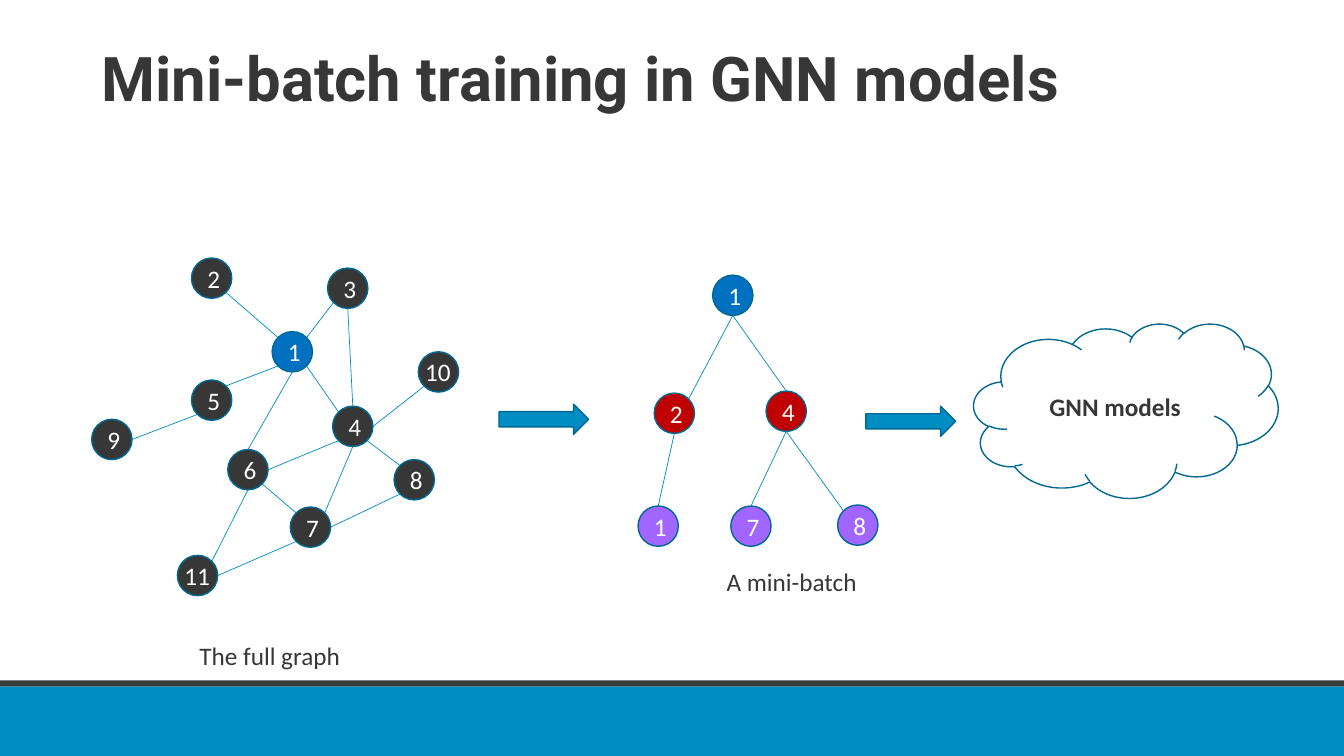
from enum import Enum
from math import sqrt
from typing import NamedTuple, Optional

from lxml.etree import SubElement
from pptx import Presentation
from pptx.dml.color import RGBColor
from pptx.enum.shapes import MSO_CONNECTOR as Connector, MSO_SHAPE as Preset
from pptx.enum.text import MSO_ANCHOR as Anchor, MSO_AUTO_SIZE as AutoSize, PP_ALIGN as Align
from pptx.oxml.ns import qn
from pptx.shapes.autoshape import Shape
from pptx.util import Inches, Length, Pt

WHITE = RGBColor(0xFF, 0xFF, 0xFF)
CHARCOAL = RGBColor(0x37, 0x37, 0x37)
STRIPE = RGBColor(0x38, 0x3D, 0x3B)
AZURE = RGBColor(0x00, 0x8D, 0xC4)
OUTLINE = RGBColor(0x00, 0x68, 0x91)
ROOT = RGBColor(0x00, 0x70, 0xC0)
HOP_ONE = RGBColor(0xC0, 0x00, 0x00)
HOP_TWO = RGBColor(0xA1, 0x66, 0xFF)

# The grid has ten columns and ten rows to the inch.
COLUMNS, ROWS = 133.33, 75
DIAMETER = 4
LABEL = {"name": "Calibri", "size": Pt(18)}
NODE_LABEL = LABEL | {"color": WHITE}
CAPTION = LABEL | {"color": CHARCOAL}
CLOUD_LABEL = CAPTION | {"bold": True}
TITLE = {"name": "Roboto", "size": Pt(44), "bold": True, "color": CHARCOAL}


class Area(NamedTuple):
    column: float
    row: float
    columns: float
    rows: float


class Node(NamedTuple):
    number: int
    column: float
    row: float
    fill: RGBColor = CHARCOAL


class Side(Enum):
    """Unit direction from the middle of a node to a point on its rim."""
    N = (0, -1)
    S = (0, 1)
    E = (1, 0)
    NE = (1 / sqrt(2), -1 / sqrt(2))
    NW = (-1 / sqrt(2), -1 / sqrt(2))
    SE = (1 / sqrt(2), 1 / sqrt(2))
    SW = (-1 / sqrt(2), 1 / sqrt(2))


class Edge(NamedTuple):
    start: str
    start_side: Side
    end: str
    end_side: Side


N, S, E, NE, NW, SE, SW = Side

FULL_GRAPH = {
    "1": Node(1, 27, 32.9, ROOT),
    "2": Node(2, 19, 25.6),
    "6": Node(6, 22.6, 44.6),
    "10": Node(10, 41.5, 34.9),
    "7": Node(7, 28.8, 50.3),
    "5": Node(5, 19, 37.7),
    "3": Node(3, 32.5, 26.6),
    "4": Node(4, 33, 40.3),
    "9": Node(9, 9.1, 41.6),
    "8": Node(8, 39.1, 45.6),
    "11": Node(11, 17.6, 55.1),
}
FULL_EDGES = [
    Edge("3", SW, "1", NE), Edge("2", SE, "1", NW), Edge("1", SW, "5", NE),
    Edge("1", SE, "4", NW), Edge("6", E, "4", SW), Edge("3", S, "4", N),
    Edge("9", E, "5", SW), Edge("6", SE, "7", NW), Edge("8", SW, "7", E),
    Edge("4", SE, "8", NW), Edge("1", S, "6", N), Edge("4", S, "7", NE),
    Edge("4", E, "10", SW), Edge("11", NE, "6", S), Edge("11", E, "7", SW),
]
MINI_BATCH = {
    "root": Node(1, 70.7, 27.3, ROOT),
    "left": Node(2, 64.9, 39, HOP_ONE),
    "right": Node(4, 76, 38.8, HOP_ONE),
    "leaf 7": Node(7, 72.5, 50.2, HOP_TWO),
    "leaf 8": Node(8, 83.1, 50.1, HOP_TWO),
    "leaf 1": Node(1, 63.3, 50.2, HOP_TWO),
}
MINI_EDGES = [
    Edge("left", NE, "root", S), Edge("root", S, "right", N),
    Edge("right", S, "leaf 8", NW), Edge("right", S, "leaf 7", N),
    Edge("left", S, "leaf 1", N),
]


def cells(count: float) -> Length:
    return Inches(count / 10)


def write(shape: Shape, text: str, style: dict) -> None:
    paragraph = shape.text_frame.paragraphs[0]
    run = paragraph.add_run()
    run.text = text
    for attribute, value in style.items():
        if attribute == "color":
            run.font.color.rgb = value
        else:
            setattr(run.font, attribute, value)


def add_preset(shapes, preset: Preset, area: Area, fill: Optional[RGBColor],
               outline: Optional[RGBColor] = OUTLINE) -> Shape:
    shape = shapes.add_shape(preset, *map(cells, area))
    shape.shadow.inherit = False
    if fill is None:
        shape.fill.background()
    else:
        shape.fill.solid()
        shape.fill.fore_color.rgb = fill
    if outline is None:
        shape.line.fill.background()
    else:
        shape.line.color.rgb = outline
        shape.line.width = Pt(1)
    shape.text_frame.vertical_anchor = Anchor.MIDDLE
    shape.text_frame.paragraphs[0].alignment = Align.CENTER
    return shape


def add_label(shapes, area: Area, text: str, style: dict, wrap: bool = False) -> Shape:
    label = shapes.add_textbox(*map(cells, area))
    label.text_frame.word_wrap = wrap
    label.text_frame.auto_size = AutoSize.NONE if wrap else AutoSize.SHAPE_TO_FIT_TEXT
    write(label, text, style)
    return label


def add_node(shapes, node: Node) -> None:
    """Draw a node; a two-digit number gets a wider label of its own."""
    circle = add_preset(shapes, Preset.OVAL,
                        Area(node.column, node.row, DIAMETER, DIAMETER), node.fill)
    if node.number < 10:
        write(circle, str(node.number), NODE_LABEL)
    else:
        add_label(shapes, Area(node.column - 0.3, node.row, 4.6, DIAMETER),
                  str(node.number), NODE_LABEL)


def rim_point(node: Node, side: Side) -> tuple[Length, Length]:
    radius = DIAMETER / 2
    across, down = side.value
    return (cells(node.column + radius * (1 + across)),
            cells(node.row + radius * (1 + down)))


def add_edge(shapes, nodes: dict[str, Node], edge: Edge) -> None:
    line = shapes.add_connector(Connector.STRAIGHT,
                                *rim_point(nodes[edge.start], edge.start_side),
                                *rim_point(nodes[edge.end], edge.end_side))
    line.line.color.rgb = AZURE
    line.line.width = Pt(0.5)
    SubElement(line._element.spPr, qn("a:effectLst"))


def add_graph(shapes, nodes: dict[str, Node], edges: list[Edge]) -> None:
    group = shapes.add_group_shape()
    for node in nodes.values():
        add_node(group.shapes, node)
    for edge in edges:
        add_edge(group.shapes, nodes, edge)


def main() -> None:
    deck = Presentation()
    deck.slide_width, deck.slide_height = cells(COLUMNS), cells(ROWS)
    shapes = deck.slides.add_slide(deck.slide_layouts[6]).shapes

    add_preset(shapes, Preset.RECTANGLE, Area(0, 68.1, COLUMNS, 6.9), AZURE, None)
    add_preset(shapes, Preset.RECTANGLE, Area(0, 67.5, COLUMNS, 0.6), STRIPE, None)
    title = add_label(shapes, Area(9.1, 4.3, 115, 14.5),
                      "Mini-batch training in GNN models", TITLE, wrap=True)
    title.text_frame.paragraphs[0].line_spacing = 0.9

    add_graph(shapes, FULL_GRAPH, FULL_EDGES)
    cloud = add_preset(shapes, Preset.CLOUD, Area(96.6, 32.1, 30.2, 17.3), None)
    write(cloud, "GNN models", CLOUD_LABEL)
    for column, row in ((85.9, 40.3), (49.5, 40.1)):
        add_preset(shapes, Preset.RIGHT_ARROW, Area(column, row, 8.9, 3), AZURE)
    add_label(shapes, Area(18.8, 63, 16.1, 4), "The full graph", CAPTION)
    add_label(shapes, Area(71.1, 55.7, 15.1, 4), "A mini-batch", CAPTION)
    add_graph(shapes, MINI_BATCH, MINI_EDGES)

    deck.save("out.pptx")


if __name__ == "__main__":
    main()
